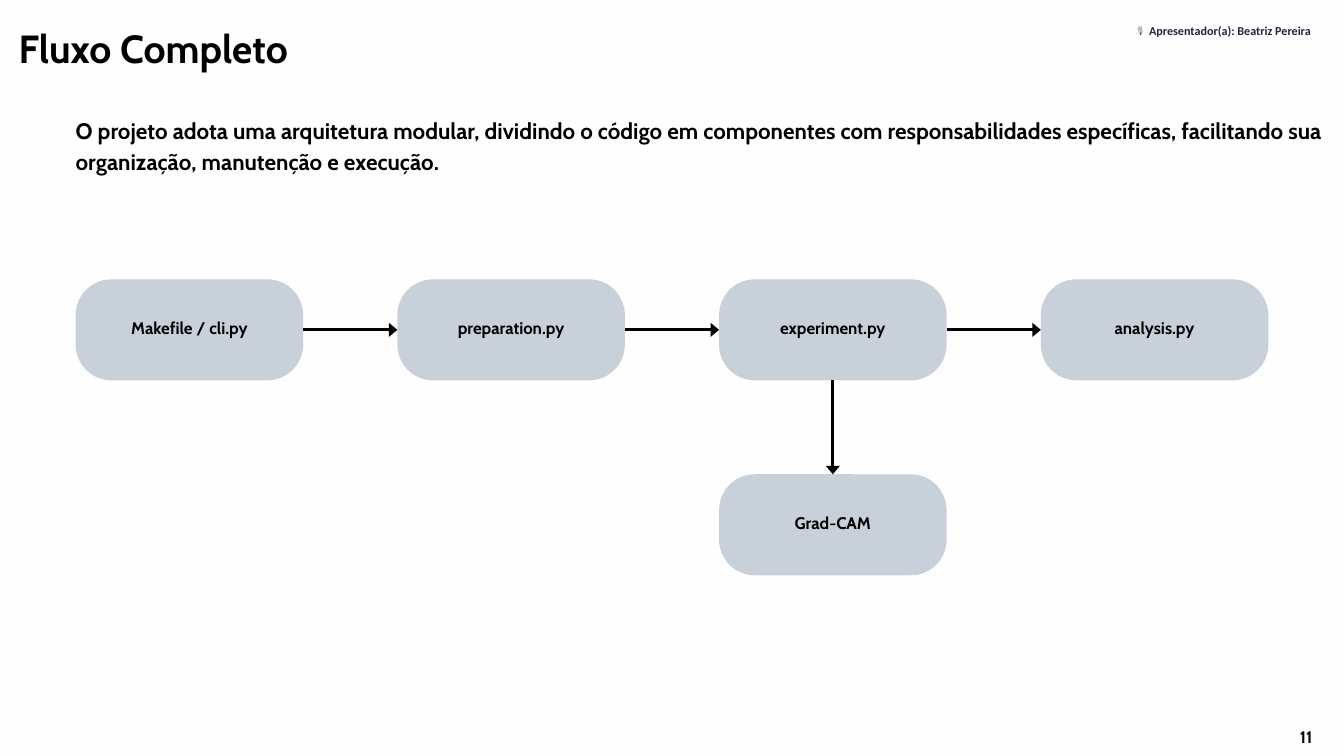
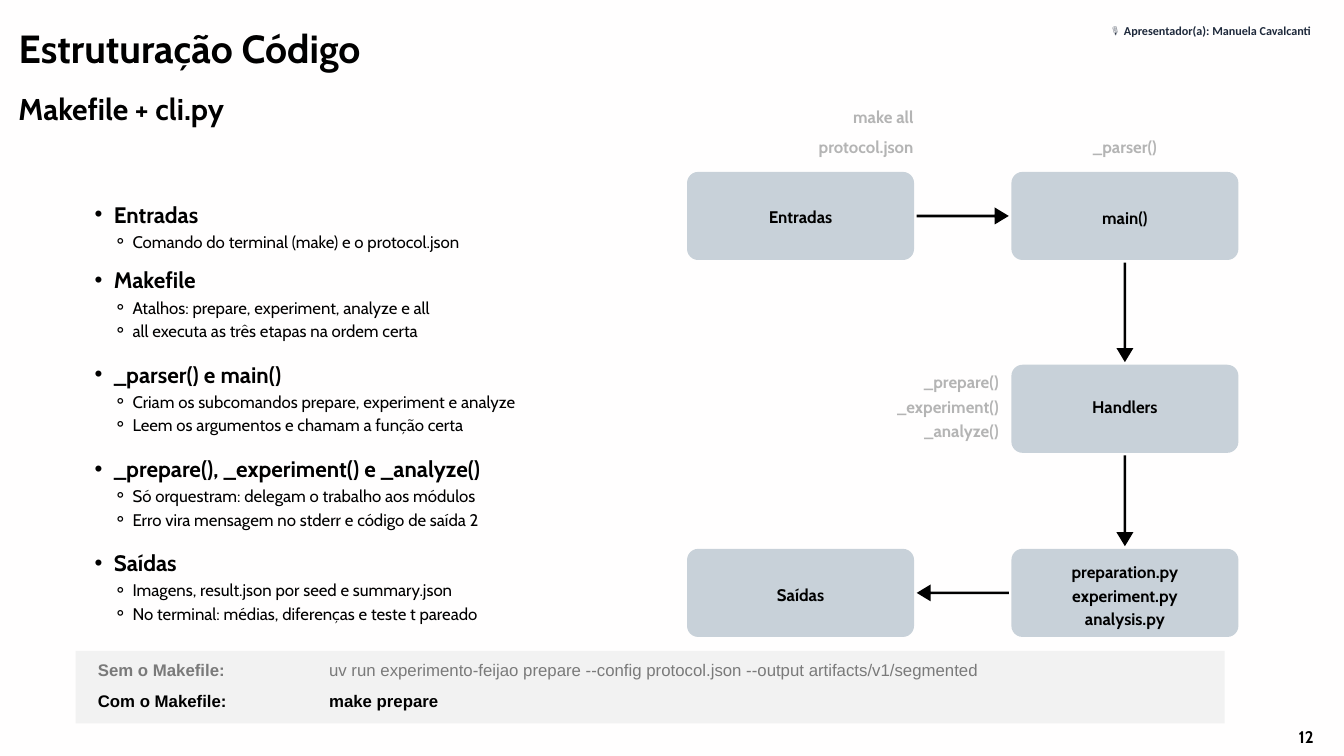
import collections

import lxml.etree
import pptx
import pptx.dml.color
import pptx.enum.shapes
import pptx.enum.text
import pptx.oxml.ns
import pptx.util

Cm = pptx.util.Cm
Pt = pptx.util.Pt
ALIGN = pptx.enum.text.PP_ALIGN
ANCHOR = pptx.enum.text.MSO_ANCHOR
SHAPE = pptx.enum.shapes.MSO_SHAPE
TOP, LEFT, BOTTOM, RIGHT = range(4)

# Shared look; boxes are in centimetres
Box = collections.namedtuple("Box", "left top width height")
PAPER, INK, NODE, PANEL = "FFFEFE", "000000", "C8D1D9", "F2F2F2"
FAINT, MUTED, NAVY = "B4B4B4", "7A7A7A", "1E293B"
MARGIN = 2.86
TITLE_BOX = Box(0.7, 0.64, 28.58, 1.98)
PRESENTER_BOX = Box(41.66, 0.76, 8.13, 1.14)
NUMBER_BOX = Box(47.95, 27.34, 2.84, 0.84)


def paint(fill, color):
    fill.solid()
    fill.fore_color.rgb = pptx.dml.color.RGBColor.from_string(color)


def place(shape, box):
    shape.left, shape.top, shape.width, shape.height = map(Cm, box)


def set_frame(shape, anchor=ANCHOR.TOP, insets=(0, 0, 0, 0)):
    frame = shape.text_frame
    frame.word_wrap = True
    frame.auto_size = pptx.enum.text.MSO_AUTO_SIZE.NONE
    frame.vertical_anchor = anchor
    (frame.margin_left, frame.margin_top,
     frame.margin_right, frame.margin_bottom) = map(Cm, insets)
    return frame


def set_bullet(para, bullet, indent, hanging):
    """An empty bullet removes the one inherited from the template."""
    properties = para._p.get_or_add_pPr()
    properties.set("marL", str(Cm(indent)))
    properties.set("indent", str(-Cm(hanging)))
    tag = "a:buChar" if bullet else "a:buNone"
    mark = lxml.etree.SubElement(properties, pptx.oxml.ns.qn(tag))
    if bullet:
        mark.set("char", bullet)


def add_text(frame, text, size=18, color=INK, bold=True, font="Cabin",
             align=ALIGN.LEFT, leading=25.2, before=0, level=0,
             bullet=None, indent=0, hanging=0):
    """Append one paragraph to the frame."""
    first = frame.paragraphs[0]
    para = frame.add_paragraph() if first.runs else first
    para.level = level
    if bullet is not None:
        set_bullet(para, bullet, indent, hanging)
    para.alignment = align
    para.space_before = Pt(before)
    if leading:
        para.line_spacing = Pt(leading)
    span = para.add_run()
    span.text = text
    span.font.size = Pt(size)
    span.font.bold = bold
    span.font.name = font
    paint(span.font.fill, color)


def add_label(page, box, lines, gap=0, insets=(0, 0, 0, 0), **style):
    label = page.shapes.add_textbox(*map(Cm, box))
    frame = set_frame(label, insets=insets)
    for index, line in enumerate(lines):
        add_text(frame, line, before=gap if index else 0, **style)


def fill_plain(shape, color):
    shape.shadow.inherit = False
    paint(shape.fill, color)
    shape.line.fill.background()


def add_block(page, kind, box, color):
    block = page.shapes.add_shape(kind, *map(Cm, box))
    fill_plain(block, color)
    return block


def add_node(page, box, lines, radius, lift=0.0):
    """Rounded box with centred text, raised (or lowered) by the given lift."""
    node = add_block(page, SHAPE.ROUNDED_RECTANGLE, box, NODE)
    node.adjustments[0] = radius / box.height
    insets = (0.15, max(0, -2 * lift), 0.15, max(0, 2 * lift))
    frame = set_frame(node, ANCHOR.MIDDLE, insets)
    for line in lines:
        add_text(frame, line, align=ALIGN.CENTER)
    return node


def side_point(node, side, gap=0.0):
    across, down = {TOP: (0, -1), LEFT: (-1, 0),
                    BOTTOM: (0, 1), RIGHT: (1, 0)}[side]
    return (node.left + node.width // 2 + across * (node.width // 2 + Cm(gap)),
            node.top + node.height // 2 + down * (node.height // 2 + Cm(gap)))


def add_arrow(page, start, start_side, end, end_side):
    """Connector joined to the sides of two nodes."""
    arrow = page.shapes.add_connector(
        pptx.enum.shapes.MSO_CONNECTOR.STRAIGHT,
        *side_point(start, start_side), *side_point(end, end_side))
    arrow.begin_connect(start, start_side)
    arrow.end_connect(end, end_side)
    paint(arrow.line.fill, INK)
    arrow.line.width = Pt(3)
    tip = lxml.etree.SubElement(arrow.line._get_or_add_ln(),
                                pptx.oxml.ns.qn("a:tailEnd"))
    for name, value in (("type", "triangle"), ("w", "lg"), ("len", "med")):
        tip.set(name, value)
    lxml.etree.SubElement(arrow._element.spPr, pptx.oxml.ns.qn("a:effectLst"))


def add_solid_arrow(page, start, start_side, end, end_side):
    """Outlined arrow that stops just short of two nodes."""
    left, top = side_point(start, start_side, 0.1)
    tip_left, tip_top = side_point(end, end_side, 0.1)
    length = abs(tip_left - left) + abs(tip_top - top)
    across, down = (tip_left - left) / length, (tip_top - top) / length
    neck, stem, wing = length - Cm(0.53), Cm(0.05), Cm(0.32)
    outline = [(0, -stem), (neck, -stem), (neck, -wing), (length, 0),
               (neck, wing), (neck, stem), (0, stem)]
    points = [(round(left + along * across - aside * down),
               round(top + along * down + aside * across))
              for along, aside in outline]
    builder = page.shapes.build_freeform(*points[0])
    builder.add_line_segments(points[1:], close=True)
    fill_plain(builder.convert_to_shape(), INK)


def add_page(deck, title, presenter, number):
    """Page with title, presenter and number; returns it and its body."""
    page = deck.slides.add_slide(deck.slide_layouts[1])
    heading, body = page.placeholders
    place(heading, TITLE_BOX)
    add_text(set_frame(heading), title, size=42, leading=58.8)
    add_label(page, PRESENTER_BOX, [f"🎙️ Apresentador(a): {presenter}"],
              insets=(0.25, 0.13, 0.25, 0.13), size=13, color=NAVY,
              font="Calibri", align=ALIGN.RIGHT, leading=None)
    add_label(page, NUMBER_BOX, [str(number)], align=ALIGN.CENTER)
    return page, body


# Slide 11: module chain
def add_module_chain(page, box):
    width, height, radius, lift = 8.6, 3.82, 1.35, 0.15
    names = ["Makefile / cli.py", "preparation.py", "experiment.py", "analysis.py"]
    pitch = (box.width - width) / (len(names) - 1)
    nodes = [add_node(page, Box(box.left + index * pitch, box.top, width, height),
                      [name], radius, lift)
             for index, name in enumerate(names)]
    for start, end in zip(nodes, nodes[1:]):
        add_arrow(page, start, RIGHT, end, LEFT)

    # Branch below the experiment
    branch = add_node(page, Box(box.left + 2 * pitch, box.top + box.height - height,
                                width, height), ["Grad-CAM"], radius, lift)
    add_arrow(page, nodes[2], BOTTOM, branch, TOP)


def build_flow_page(deck):
    page, body = add_page(deck, "Fluxo Completo", "Beatriz Pereira", 11)
    place(body, Box(MARGIN, 4.24, 47.95, 2.26))
    add_text(set_frame(body),
             "O projeto adota uma arquitetura modular, dividindo o código em "
             "componentes com responsabilidades específicas, facilitando sua "
             "organização, manutenção e execução.",
             size=24, leading=33.6, bullet="")
    add_module_chain(page, Box(MARGIN, 10.56, 45.08, 11.19))


# Slide 12: topics, call diagram and commands
TOPICS = [
    ("Entradas", ["Comando do terminal (make) e o protocol.json"]),
    ("Makefile", ["Atalhos: prepare, experiment, analyze e all",
                  "all executa as três etapas na ordem certa"]),
    ("_parser() e main()", ["Criam os subcomandos prepare, experiment e analyze",
                            "Leem os argumentos e chamam a função certa"]),
    ("_prepare(), _experiment() e _analyze()",
     ["Só orquestram: delegam o trabalho aos módulos",
      "Erro vira mensagem no stderr e código de saída 2"]),
    ("Saídas", ["Imagens, result.json por seed e summary.json",
                "No terminal: médias, diferenças e teste t pareado"]),
]


def fill_topics(body, box):
    place(body, box)
    frame = set_frame(body)
    gaps = [0, 11, 16.5, 16.5, 16.5]
    for gap, (topic, details) in zip(gaps, TOPICS):
        add_text(frame, topic, size=24, leading=33.6, before=gap,
                 bullet="•", indent=1.44, hanging=0.72)
        for index, detail in enumerate(details):
            add_text(frame, detail, bold=False, before=0 if index else 0.6,
                     level=1, bullet="⚬", indent=2.15, hanging=0.72)


def add_call_diagram(page, box):
    width, height = 8.58, 3.33
    right = box.left + box.width - width
    rows = [box.top, box.top + 7.29, box.top + box.height - height]

    def node(left, row, lines, lift=0.0):
        return add_node(page, Box(left, rows[row], width, height), lines, 0.42, lift)

    inputs = node(box.left, 0, ["Entradas"], lift=0.03)
    main_call = node(right, 0, ["main()"])
    handlers = node(right, 1, ["Handlers"], lift=0.13)
    modules = node(right, 2, ["preparation.py", "experiment.py", "analysis.py"],
                   lift=-0.04)
    outputs = node(box.left, 2, ["Saídas"], lift=-0.01)
    for start, start_side, end, end_side in (
            (inputs, RIGHT, main_call, LEFT),
            (main_call, BOTTOM, handlers, TOP),
            (handlers, BOTTOM, modules, TOP),
            (modules, LEFT, outputs, RIGHT)):
        add_solid_arrow(page, start, start_side, end, end_side)

    # Notes beside the nodes
    add_label(page, Box(box.left, rows[0] - 2.59, width - 0.02, 1.96),
              ["make all", "protocol.json"], gap=6.5, color=FAINT, align=ALIGN.RIGHT)
    add_label(page, Box(right, rows[0] - 1.47, width, 0.84),
              ["_parser()"], color=FAINT, align=ALIGN.CENTER)
    add_label(page, Box(right - 0.48 - width, rows[1] + 0.15, width, 2.7),
              ["_prepare()", "_experiment()", "_analyze()"],
              gap=0.7, color=FAINT, align=ALIGN.RIGHT)


def add_command_panel(page, box):
    add_block(page, SHAPE.RECTANGLE, box, PANEL)
    commands = [
        ("Sem o Makefile:",
         "uv run experimento-feijao prepare --config protocol.json "
         "--output artifacts/v1/segmented", MUTED, False),
        ("Com o Makefile:", "make prepare", INK, True),
    ]
    for index, (label, command, color, bold) in enumerate(commands):
        top = box.top + 0.2 + index * 1.17
        add_label(page, Box(box.left + 0.84, top, 8.46, 0.91), [label],
                  color=color, font="Arial")
        add_label(page, Box(box.left + 9.58, top, 33.32, 0.91), [command],
                  color=color, bold=bold, font="Arial")


def build_code_page(deck):
    page, body = add_page(deck, "Estruturação Código", "Manuela Cavalcanti", 12)
    add_label(page, Box(TITLE_BOX.left, 3.2, 23.83, 1.55), ["Makefile + cli.py"],
              size=32.2, leading=45.1)
    fill_topics(body, Box(MARGIN, 7.42, 22.56, 16.4))
    add_call_diagram(page, Box(25.97, 6.5, 20.84, 17.58))
    add_command_panel(page, Box(MARGIN, 24.61, 43.43, 2.74))


def main():
    deck = pptx.Presentation()
    deck.slide_width, deck.slide_height = Cm(50.8), Cm(28.58)
    paint(deck.slide_master.background.fill, PAPER)
    build_flow_page(deck)
    build_code_page(deck)
    deck.save("out.pptx")


if __name__ == "__main__":
    main()
